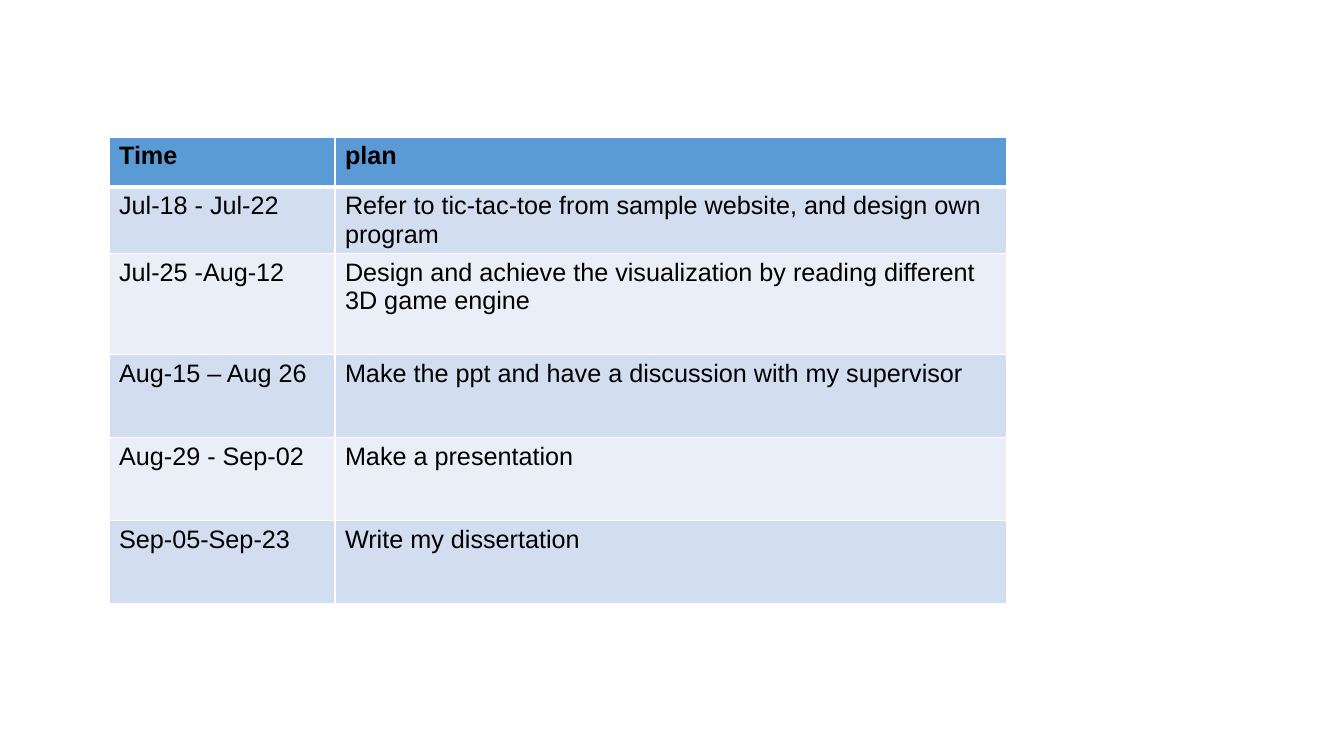
from dataclasses import dataclass

from lxml import etree
from pptx import Presentation
from pptx import util as u
from pptx.dml.color import RGBColor
from pptx.oxml.ns import qn

EMU_PER_PX = 914400 / 100.8


@dataclass(frozen=True)
class Theme:
    font: str = "Arial"
    size: int = 18
    ink: str = "000000"
    header: str = "5B9BD5"
    bands: tuple = ("D2DEEF", "EAEFF7")
    border: str = "FFFFFF"
    thin: int = 1
    thick: int = 3


THEME = Theme()

SCHEDULE = [
    ("Time", "plan"),
    ("Jul-18 - Jul-22", "Refer to tic-tac-toe from sample website, and design own program"),
    ("Jul-25 -Aug-12", "Design and achieve the visualization by reading different 3D game engine"),
    ("Aug-15 – Aug 26", "Make the ppt and have a discussion with my supervisor"),
    ("Aug-29 - Sep-02", "Make a presentation"),
    ("Sep-05-Sep-23", "Write my dissertation"),
]
ROW_HEIGHTS = (50, 57, 101, 83, 83, 83)
TIME_WIDTH = 226


def px(length):
    return u.Emu(round(length * EMU_PER_PX))


def set_borders(cell, widths):
    """Draw the cell's sides; widths maps L, R, T and B to points."""
    properties = cell._tc.get_or_add_tcPr()
    for index, (side, width) in enumerate(widths.items()):
        line = etree.Element(qn(f"a:ln{side}"), w=str(u.Pt(width)))
        fill = etree.SubElement(line, qn("a:solidFill"))
        etree.SubElement(fill, qn("a:srgbClr"), val=THEME.border)
        properties.insert(index, line)


def style_cell(cell, value, row_index):
    is_header = row_index == 0
    colour = THEME.header if is_header else THEME.bands[(row_index - 1) % 2]
    cell.fill.solid()
    cell.fill.fore_color.rgb = RGBColor.from_string(colour)
    set_borders(cell, {
        "L": THEME.thin,
        "R": THEME.thin,
        "T": THEME.thick if row_index == 1 else THEME.thin,
        "B": THEME.thick if is_header else THEME.thin,
    })
    cell.text_frame.text = value
    font = cell.text_frame.paragraphs[0].runs[0].font
    font.name = THEME.font
    font.size = u.Pt(THEME.size)
    font.bold = is_header
    font.color.rgb = RGBColor.from_string(THEME.ink)


def add_schedule(slide, left, top, width):
    """Place the work plan: a header and one banded row per period."""
    frame = slide.shapes.add_table(
        len(SCHEDULE), 2, px(left), px(top), px(width), px(sum(ROW_HEIGHTS)))
    table = frame.table

    # Column widths and row heights
    for column, column_width in zip(table.columns, (TIME_WIDTH, width - TIME_WIDTH)):
        column.width = px(column_width)
    for row, height in zip(table.rows, ROW_HEIGHTS):
        row.height = px(height)

    # Cell contents
    for row_index, values in enumerate(SCHEDULE):
        for column_index, value in enumerate(values):
            style_cell(table.cell(row_index, column_index), value, row_index)


def main():
    presentation = Presentation()
    presentation.slide_width = px(1344)
    presentation.slide_height = px(756)
    slide = presentation.slides.add_slide(presentation.slide_layouts[6])
    add_schedule(slide, left=109, top=137, width=898)
    presentation.save("out.pptx")


if __name__ == "__main__":
    main()
